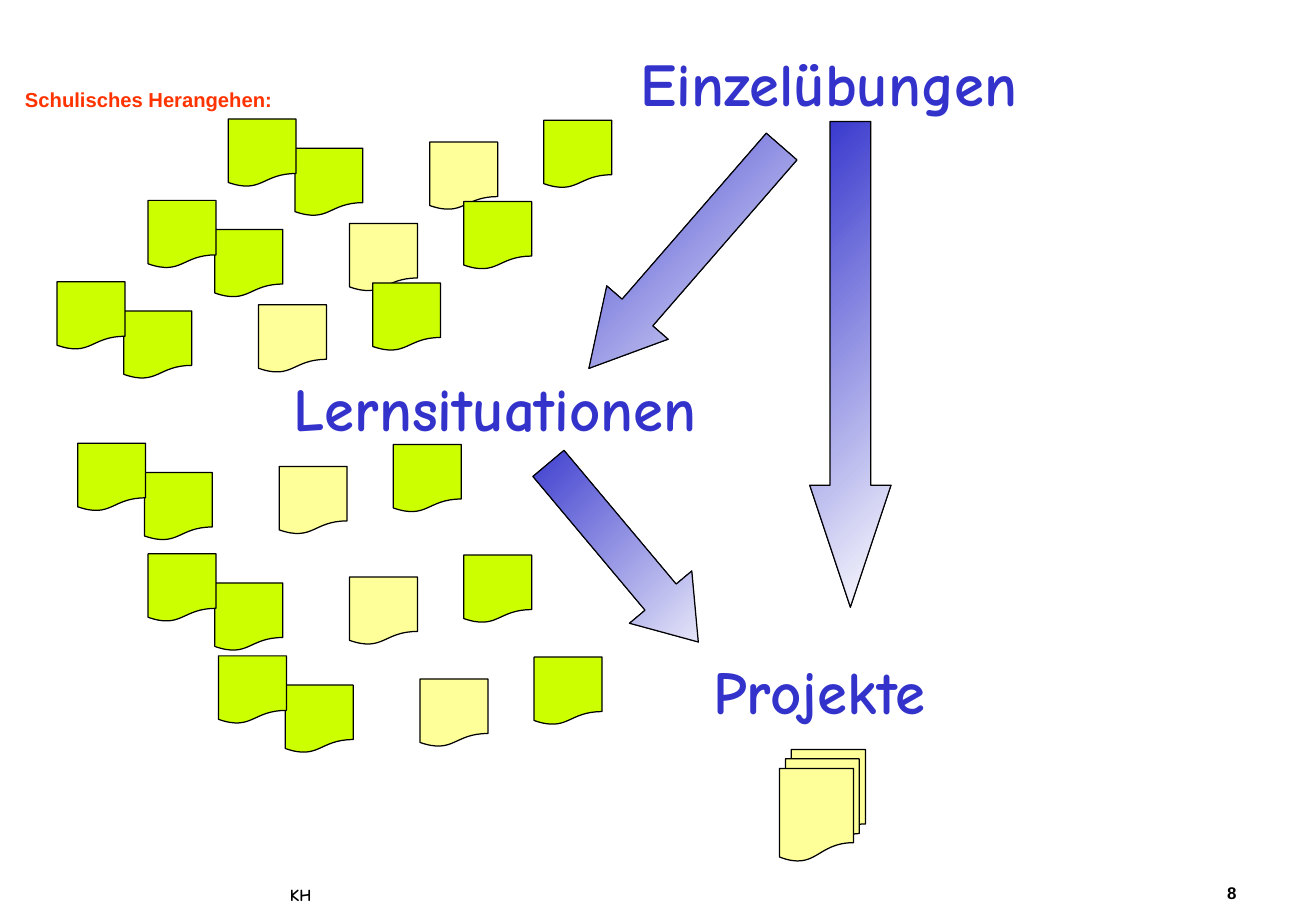
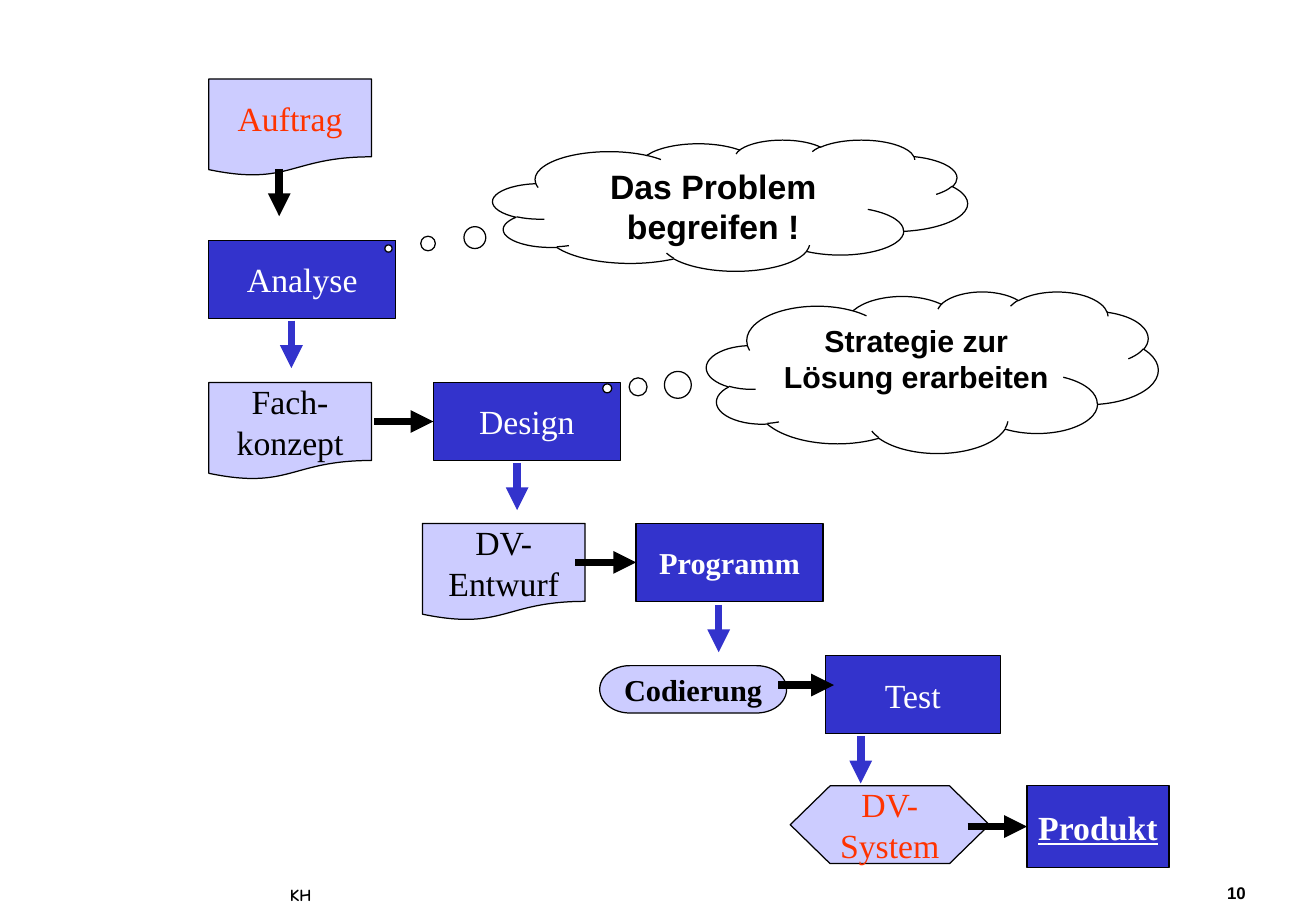
from dataclasses import dataclass
from itertools import product
from typing import Any, NamedTuple, Optional

import lxml.etree
import pptx
import pptx.dml.color
import pptx.enum.shapes
import pptx.enum.text
import pptx.oxml.ns
import pptx.util

COLS, ROWS = 108.4, 75
CELL = pptx.util.Inches(0.1)

HUE = {
    "black": "000000",
    "white": "FFFFFF",
    "blue": "3333CC",
    "pale": "CCCCFF",
    "red": "FF3300",
    "lime": "CCFF00",
    "sand": "FFFF99",
}
SANS, COMIC, SERIF = "Arial", "Comic Neue", "Times New Roman"

KIND = pptx.enum.shapes.MSO_SHAPE
ALIGN = pptx.enum.text.PP_ALIGN
ANCHOR = pptx.enum.text.MSO_ANCHOR
qn = pptx.oxml.ns.qn


class Area(NamedTuple):
    """Left, top, width and height in grid cells."""
    x: float
    y: float
    w: float
    h: float


class Font(NamedTuple):
    face: str
    size: float
    hue: str
    bold: bool = True
    line: bool = False


@dataclass(frozen=True)
class Step:
    """A box of the flow chart."""
    text: str
    kind: Any
    area: Area
    fill: str
    font: Font


@dataclass(frozen=True)
class Link:
    """A thick arrow; goal names the box whose left side it meets."""
    x: float
    y: float
    hue: str
    dx: float = 0
    dy: float = 0
    goal: Optional[str] = None


@dataclass(frozen=True)
class Wedge:
    """A block arrow with a colour blend."""
    area: Area
    head: float
    turn: float = 0


@dataclass(frozen=True)
class Cloud:
    text: str
    area: Area
    tip: tuple[float, float]
    size: float


def grid(n: float) -> int:
    return round(n * CELL)


def rgb(hue: str) -> pptx.dml.color.RGBColor:
    return pptx.dml.color.RGBColor.from_string(HUE[hue])


def write(shape: Any, text: str, font: Font, align: Any = ALIGN.CENTER,
          anchor: Any = ANCHOR.TOP, wrap: bool = True, gap: float = 1) -> None:
    frame = shape.text_frame
    frame.auto_size = pptx.enum.text.MSO_AUTO_SIZE.NONE
    frame.word_wrap = wrap
    frame.vertical_anchor = anchor
    frame.margin_left = frame.margin_right = grid(1)
    frame.margin_top = frame.margin_bottom = grid(0.5)
    para = frame.paragraphs[0]
    para.alignment = align
    para.line_spacing = gap
    for i, part in enumerate(text.split("\n")):
        if i:
            para.add_line_break()
        run = para.add_run()
        run.text = part
        run.font.name = font.face
        run.font.size = pptx.util.Pt(font.size)
        run.font.bold = font.bold
        run.font.underline = font.line
        run.font.color.rgb = rgb(font.hue)


def label(slide: Any, text: str, area: Area, font: Font, **look: Any) -> None:
    write(slide.shapes.add_textbox(*map(grid, area)), text, font, **look)


def draw(slide: Any, kind: Any, area: Area, fill: Optional[str] = None) -> Any:
    """Add a preset shape with a thin black outline."""
    shape = slide.shapes.add_shape(kind, *map(grid, area))
    shape.shadow.inherit = False
    shape.line.color.rgb = rgb("black")
    shape.line.width = pptx.util.Pt(0.75)
    if fill:
        shape.fill.solid()
        shape.fill.fore_color.rgb = rgb(fill)
    return shape


def wedge(slide: Any, item: Wedge) -> None:
    shape = draw(slide, KIND.DOWN_ARROW, item.area)
    shape.adjustments[0] = 0.5
    shape.adjustments[1] = item.head
    shape.rotation = item.turn
    shape.fill.gradient()
    shape.fill.gradient_angle = 315
    for stop, hue in zip(shape.fill.gradient_stops, ("blue", "white")):
        stop.color.rgb = rgb(hue)
    # The blend keeps its direction when the arrow is turned.
    shape._element.spPr.find(qn("a:gradFill")).set("rotWithShape", "0")


def link(slide: Any, item: Link, boxes: dict[str, Any]) -> None:
    ends = (item.x, item.y, item.x + item.dx, item.y + item.dy)
    line = slide.shapes.add_connector(
        pptx.enum.shapes.MSO_CONNECTOR.STRAIGHT, *map(grid, ends))
    if item.goal:
        line.end_connect(boxes[item.goal], 1)
        line.begin_y = line.end_y
    line.line.color.rgb = rgb(item.hue)
    line.line.width = pptx.util.Pt(4.5)
    lxml.etree.SubElement(line.line._get_or_add_ln(), qn("a:tailEnd"), type="triangle")
    lxml.etree.SubElement(line._element.spPr, qn("a:effectLst"))


def cloud(slide: Any, item: Cloud) -> None:
    shape = draw(slide, KIND.CLOUD_CALLOUT, item.area, "white")
    for i, value in enumerate(item.tip):
        shape.adjustments[i] = value
    write(shape, item.text, Font(SANS, item.size, "black"))


def footer(slide: Any, page: str) -> None:
    label(slide, "KH", Area(22.9, 72.3, 4.4, 2.7), Font(COMIC, 10, "black"),
          align=ALIGN.LEFT)
    label(slide, page, Area(100.1, 72.3, 11.8, 2.7), Font(SANS, 10, "black"),
          align=ALIGN.LEFT, gap=0.95)


HEADS = {
    "Einzelübungen": (45.8, 3.3),
    "Lernsituationen": (18.3, 30),
    "Projekte": (45, 53.3),
}
WEDGES = (
    Wedge(Area(53.1, 9.1, 6.7, 24.2), 0.91, 41),
    Wedge(Area(48, 35.9, 6.7, 19.2), 0.72, 320),
    Wedge(Area(66.7, 10, 6.7, 40), 1.5),
)
# Each group of sheets has one start and the same four offsets.
GROUPS = ((18.8, 9.8), (12.2, 16.5), (4.7, 23.2), (6.4, 36.5), (12.2, 45.6), (18, 54))
SHEETS = (
    (16.6, 1.9, "sand"),
    (5.5, 2.4, "lime"),
    (0, 0, "lime"),
    (26, 0.1, "lime"),
)
SIDE = 5.6


def needs(deck: Any) -> None:
    """Slide with the school approach."""
    slide = deck.slides.add_slide(deck.slide_layouts[5])
    title = slide.shapes.title
    title.left, title.top, title.width, title.height = map(grid, (0, 5.7, 24.5, 5.2))
    write(title, "Schulisches Herangehen:", Font(SANS, 12, "red"),
          anchor=ANCHOR.MIDDLE, gap=0.95)
    footer(slide, "8")
    for text, spot in HEADS.items():
        label(slide, text, Area(*spot, 45, 7), Font(COMIC, 36, "blue"))
    for item in WEDGES:
        wedge(slide, item)
    draw(slide, KIND.FLOWCHART_MULTIDOCUMENT, Area(64.2, 61.7, 7.1, 9.2), "sand")
    for (dx, dy, hue), (x, y) in product(SHEETS, GROUPS):
        draw(slide, KIND.FLOWCHART_DOCUMENT, Area(x + dx, y + dy, SIDE, SIDE), hue)


PLAIN = Font(SERIF, 20, "white", False)
DARK = PLAIN._replace(hue="black")
ALERT = PLAIN._replace(hue="red")
STRONG = Font(SERIF, 18, "white")
BOX, DOC = KIND.FLOWCHART_PROCESS, KIND.FLOWCHART_DOCUMENT

STEPS = (
    Step("Produkt", BOX, Area(84.6, 64.7, 11.7, 6.7), "blue",
         Font(SERIF, 20, "white", line=True)),
    Step("Auftrag", DOC, Area(17.2, 6.5, 13.4, 8), "pale", ALERT),
    Step("Analyse", BOX, Area(17.2, 19.8, 15.4, 6.4), "blue", PLAIN),
    Step("Design", BOX, Area(35.7, 31.5, 15.4, 6.4), "blue", PLAIN),
    Step("Programm", BOX, Area(52.4, 43.1, 15.4, 6.4), "blue", STRONG),
    Step("Test", BOX, Area(68, 54, 14.4, 6.4), "blue", PLAIN),
    Step("Fach-\nkonzept", DOC, Area(17.2, 31.5, 13.4, 8), "pale", DARK),
    Step("DV-\nEntwurf", DOC, Area(34.8, 43.1, 13.4, 8), "pale", DARK),
    Step("Codierung", KIND.FLOWCHART_TERMINATOR, Area(49.4, 54.8, 15.4, 3.9),
         "pale", STRONG._replace(hue="black")),
    Step("DV-\nSystem", KIND.FLOWCHART_PREPARATION, Area(65.1, 64.7, 16.4, 6.4),
         "pale", ALERT),
)
DROP, REACH = 3.9, 4.6
LINKS = (
    Link(23, 13.9, "black", dy=DROP),
    Link(24, 26.4, "blue", dy=DROP),
    Link(42.6, 38.1, "blue", dy=DROP),
    Link(59.2, 49.8, "blue", dy=DROP),
    Link(70.9, 60.6, "blue", dy=DROP),
    Link(30.8, 34.8, "black", REACH, goal="Design"),
    Link(47.4, 46.4, "black", REACH, goal="Programm"),
    Link(64.1, 56.4, "black", REACH),
    Link(79.7, 68.1, "black", REACH, goal="Produkt"),
)
CLOUDS = (
    Cloud("Strategie zur Lösung erarbeiten", Area(58.2, 24, 37.2, 13.3),
          (-0.72, 0.1), 18),
    Cloud("Das Problem begreifen !", Area(40.6, 11.5, 39.1, 10.8),
          (-0.72, 0.33), 20),
)


def flow(deck: Any) -> None:
    """Slide with the steps from order to product."""
    slide = deck.slides.add_slide(deck.slide_layouts[6])
    footer(slide, "10")
    boxes = {}
    for step in STEPS:
        shape = boxes[step.text] = draw(slide, step.kind, step.area, step.fill)
        write(shape, step.text, step.font, anchor=ANCHOR.MIDDLE, wrap=False)
    for item in LINKS:
        link(slide, item, boxes)
    for item in CLOUDS:
        cloud(slide, item)


def main() -> None:
    deck = pptx.Presentation()
    deck.slide_width, deck.slide_height = grid(COLS), grid(ROWS)
    needs(deck)
    flow(deck)
    deck.save("out.pptx")


if __name__ == "__main__":
    main()
